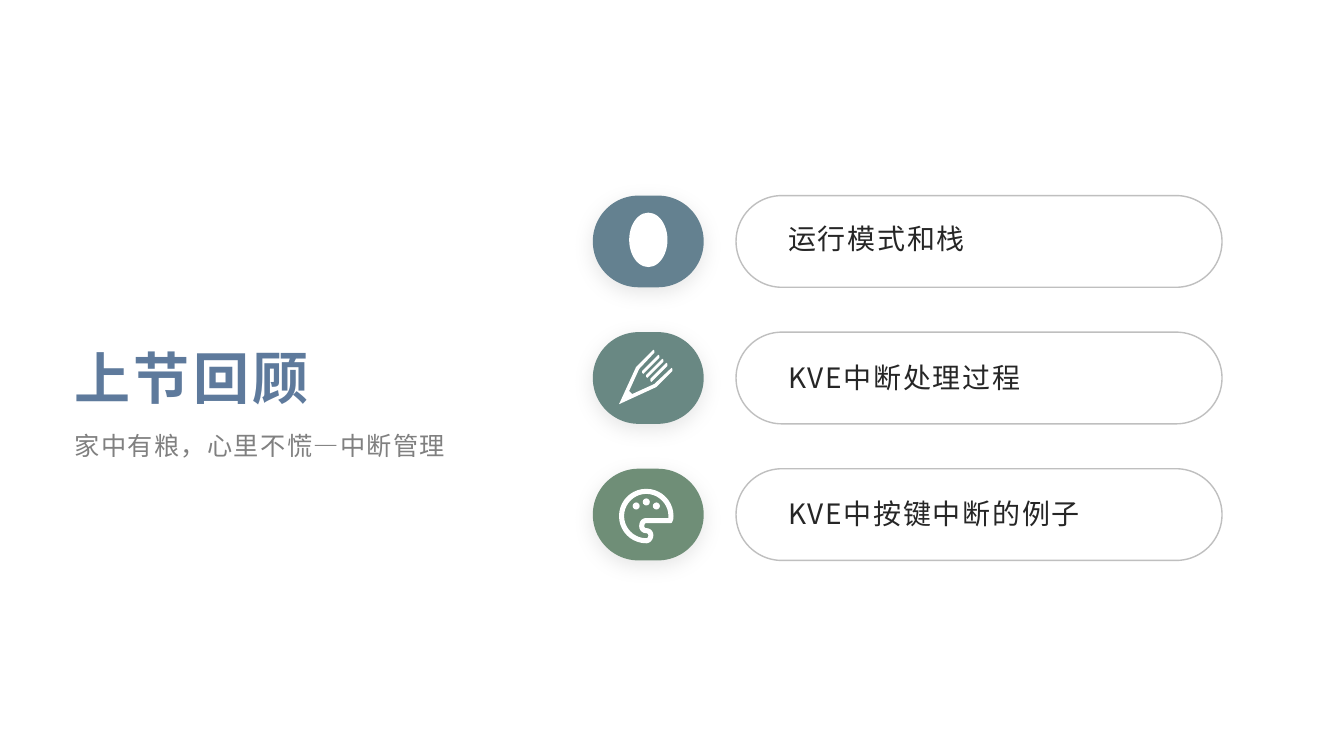
from pptx import Presentation
from pptx.dml.color import RGBColor
from pptx.enum.shapes import MSO_SHAPE
from pptx.enum.text import MSO_ANCHOR, MSO_AUTO_SIZE, PP_ALIGN
from pptx.oxml import parse_xml
from pptx.oxml.ns import nsdecls, qn
from pptx.util import Inches, Pt

COLORS = {
    "title": "5E7A9C", "subtitle": "808080", "label": "262626",
    "outline": "BFBFBF", "white": "FFFFFF",
    "blue": "648190", "teal": "698883", "green": "6F8E77",
}
FONT = "Noto Sans CJK SC"

TITLE = "上节回顾"
SUBTITLE = "家中有粮，心里不慌—中断管理"
TOPICS = [
    ("运行模式和栈", "blue", 2.11),
    ("KVE中断处理过程", "teal", 3.49),
    ("KVE中按键中断的例子", "green", 4.84),
]

TITLE_STYLE = {"size": 40, "color": "title", "bold": True, "spacing": 240}
SUBTITLE_STYLE = {"size": 18, "color": "subtitle", "bold": False, "spacing": 100}
LABEL_STYLE = {"size": 20, "color": "label", "bold": False, "spacing": 120}
HEADING_FRAME = {
    "margin_left": Inches(0.07), "margin_right": Inches(0.07),
    "margin_top": Inches(0.03), "margin_bottom": Inches(0.03),
}

ROW_TOP, ROW_STEP, ROW_HEIGHT = 1.94, 1.355, 0.91
BADGE_LEFT, BADGE_WIDTH = 5.88, 1.1
PILL_LEFT, PILL_WIDTH = 7.3, 4.82

PENCIL_BODY = [
    (6.48, 3.47), (6.49, 3.48), (6.49, 3.5), (6.34, 3.66), (6.24, 3.88),
    (6.27, 3.91), (6.49, 3.81), (6.65, 3.66), (6.66, 3.65), (6.67, 3.66),
    (6.67, 3.68), (6.51, 3.84), (6.14, 4.01), (6.31, 3.64), (6.47, 3.48),
]
PENCIL_STRIPE = [
    (6.6, 3.61), (6.61, 3.6), (6.62, 3.61), (6.62, 3.63),
    (6.47, 3.78), (6.46, 3.79), (6.45, 3.78), (6.45, 3.76),
]
STRIPE_OFFSETS = [0, -0.04, -0.08]

PALETTE_EDGE = [
    (6.41, 4.85), (6.56, 4.85, 6.68, 4.97, 6.68, 5.12),
    (6.68, 5.14, 6.68, 5.15, 6.67, 5.17), (6.67, 5.18, 6.66, 5.19, 6.65, 5.19),
    (6.41, 5.19), (6.4, 5.19, 6.39, 5.2, 6.39, 5.22),
    (6.39, 5.23, 6.4, 5.24, 6.41, 5.24), (6.45, 5.24, 6.48, 5.27, 6.48, 5.31),
    (6.48, 5.35, 6.45, 5.39, 6.41, 5.39), (6.26, 5.39, 6.14, 5.27, 6.14, 5.12),
    (6.14, 4.97, 6.26, 4.85, 6.41, 4.85),
]
PALETTE_HOLE = [
    (6.41, 4.9), (6.29, 4.9, 6.19, 5, 6.19, 5.12),
    (6.19, 5.24, 6.29, 5.34, 6.41, 5.34), (6.42, 5.34, 6.43, 5.33, 6.43, 5.31),
    (6.43, 5.3, 6.42, 5.29, 6.41, 5.29), (6.37, 5.29, 6.34, 5.26, 6.34, 5.22),
    (6.34, 5.17, 6.37, 5.14, 6.41, 5.14), (6.63, 5.14),
    (6.63, 5.13, 6.63, 5.13, 6.63, 5.12), (6.63, 5, 6.53, 4.9, 6.41, 4.9),
]
PAINT_DOTS = [(6.31, 5.02), (6.41, 4.98), (6.51, 5.02)]
DOT_SIZE = 0.07


def rgb(name):
    return RGBColor.from_string(COLORS[name])


def paint(shape, fill, outline=None):
    shape.shadow.inherit = False
    shape.fill.solid()
    shape.fill.fore_color.rgb = rgb(fill)
    if outline:
        shape.line.color.rgb = rgb(outline)
        shape.line.width = Pt(1)
    else:
        shape.line.fill.background()


def add_shape(page, kind, box, fill, outline=None):
    shape = page.shapes.add_shape(kind, *map(Inches, box))
    paint(shape, fill, outline)
    if kind == MSO_SHAPE.ROUNDED_RECTANGLE:
        shape.adjustments[0] = 0.5
    return shape


def add_soft_shadow(shape):
    effects = shape._element.spPr.find(qn("a:effectLst"))
    effects.append(parse_xml(
        f'<a:outerShdw {nsdecls("a")} blurRad="{Pt(15)}" dist="{Pt(4)}" '
        'dir="5400000" algn="t" rotWithShape="0"><a:srgbClr val="000000">'
        '<a:alpha val="10000"/></a:srgbClr></a:outerShdw>'))


def write_text(box, text, style, anchor, frame_format=None):
    frame = box.text_frame
    frame_format = {"word_wrap": True, "auto_size": MSO_AUTO_SIZE.NONE,
                    "vertical_anchor": anchor, **(frame_format or {})}
    for name, value in frame_format.items():
        setattr(frame, name, value)
    para = frame.paragraphs[0]
    para.alignment = PP_ALIGN.LEFT
    span = para.add_run()
    span.text = text
    for name, value in {"name": FONT, "size": Pt(style["size"]), "bold": style["bold"]}.items():
        setattr(span.font, name, value)
    span.font.color.rgb = rgb(style["color"])
    properties = span._r.get_or_add_rPr()
    properties.set("spc", str(style["spacing"]))
    properties.append(parse_xml(f'<a:ea {nsdecls("a")} typeface="{FONT}"/>'))
    return para


def flatten(segments, steps=10):
    points = [segments[0]]
    for segment in segments[1:]:
        if len(segment) == 2:
            points.append(segment)
            continue
        corners = [points[-1], segment[:2], segment[2:4], segment[4:]]
        for step in range(1, steps + 1):
            t = step / steps
            weights = ((1 - t) ** 3, 3 * t * (1 - t) ** 2, 3 * t * t * (1 - t), t ** 3)
            points.append(tuple(
                sum(weight * corner[axis] for weight, corner in zip(weights, corners))
                for axis in (0, 1)))
    return points


def add_outline(page, contours):
    builder = None
    for contour in contours:
        points = [(Inches(x), Inches(y)) for x, y in flatten(contour)]
        if builder is None:
            builder = page.shapes.build_freeform(*points[0])
        else:
            builder.move_to(*points[0])
        builder.add_line_segments(points[1:], close=True)
    paint(builder.convert_to_shape(), "white")


def main():
    deck = Presentation()
    deck.slide_width, deck.slide_height = Inches(13.33), Inches(7.5)
    page = deck.slides.add_slide(deck.slide_layouts[5])

    title = page.shapes.title
    title.left, title.top, title.width, title.height = map(Inches, (0.67, 2.56, 4.17, 1.54))
    write_text(title, TITLE, TITLE_STYLE, MSO_ANCHOR.BOTTOM, HEADING_FRAME).line_spacing = 1.1
    subtitle = page.shapes.add_textbox(*map(Inches, (0.67, 4.18, 4.17, 0.76)))
    write_text(subtitle, SUBTITLE, SUBTITLE_STYLE, MSO_ANCHOR.TOP, HEADING_FRAME).line_spacing = 1.2

    for row, (topic, color, label_top) in enumerate(TOPICS):
        top = ROW_TOP + row * ROW_STEP
        badge = add_shape(page, MSO_SHAPE.ROUNDED_RECTANGLE,
                          (BADGE_LEFT, top, BADGE_WIDTH, ROW_HEIGHT), color)
        add_soft_shadow(badge)
        add_shape(page, MSO_SHAPE.ROUNDED_RECTANGLE,
                  (PILL_LEFT, top, PILL_WIDTH, ROW_HEIGHT), "white", "outline")
        label = page.shapes.add_textbox(*map(Inches, (7.72, label_top, 3.97, 0.51)))
        write_text(label, topic, LABEL_STYLE, MSO_ANCHOR.MIDDLE).space_after = Pt(8)

    add_shape(page, MSO_SHAPE.OVAL, (6.24, 2.11, 0.38, 0.54), "white")
    stripes = [[(x + shift, y + shift) for x, y in PENCIL_STRIPE] for shift in STRIPE_OFFSETS]
    add_outline(page, [PENCIL_BODY, *stripes])
    add_outline(page, [PALETTE_EDGE, PALETTE_HOLE])
    for x, y in PAINT_DOTS:
        add_shape(page, MSO_SHAPE.OVAL,
                  (x - DOT_SIZE / 2, y - DOT_SIZE / 2, DOT_SIZE, DOT_SIZE), "white")

    deck.save("out.pptx")


if __name__ == "__main__":
    main()
